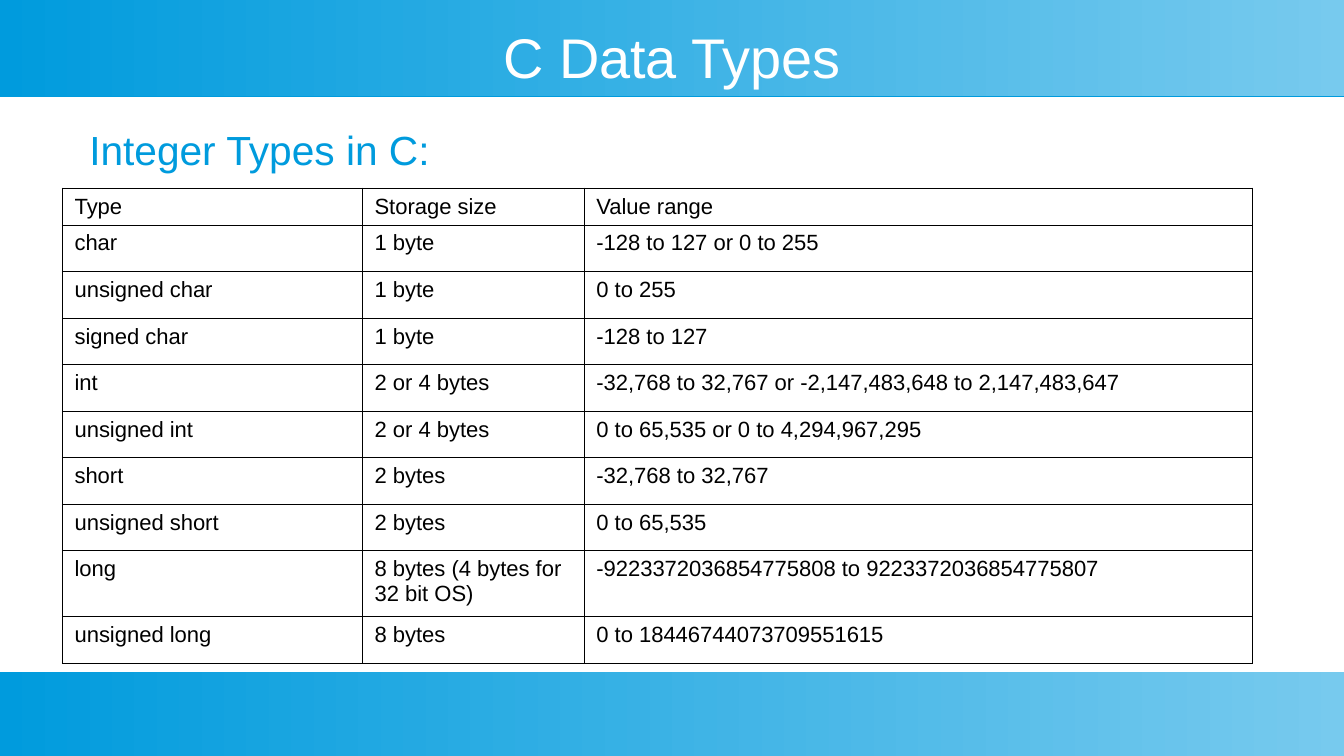
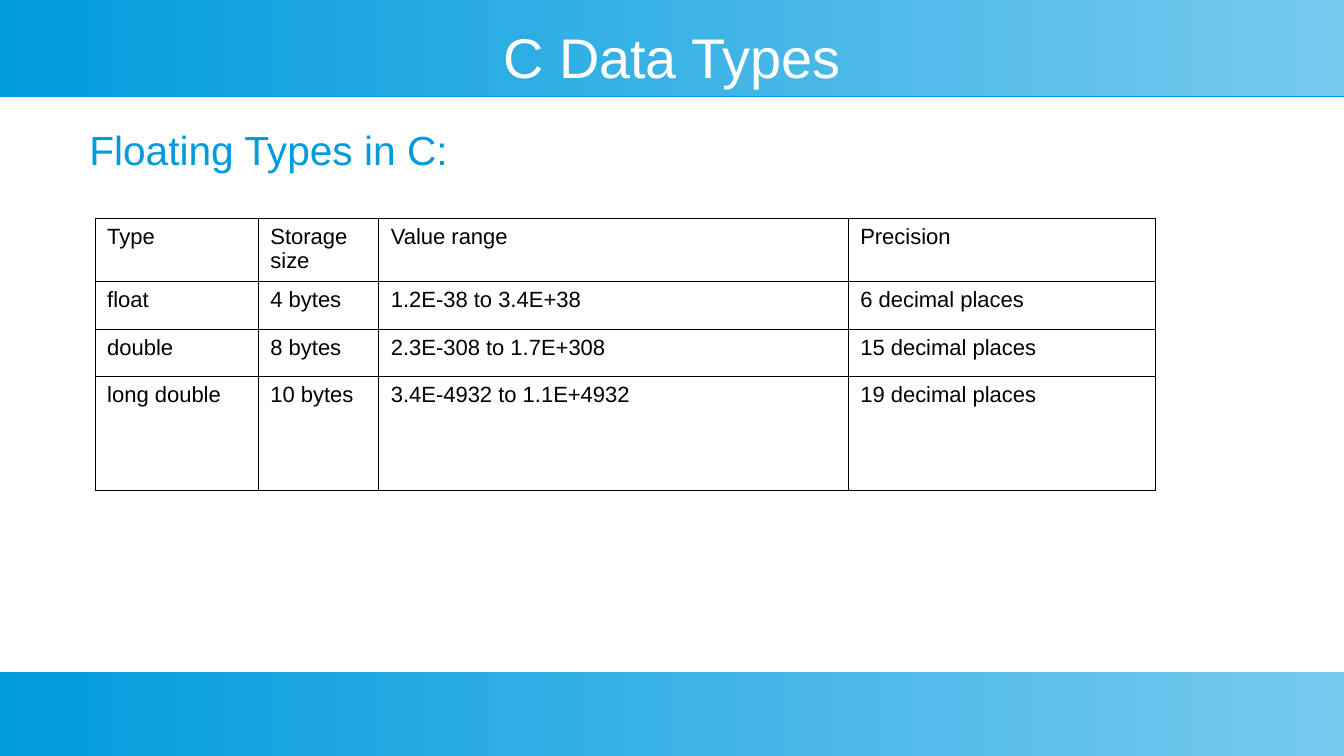
from lxml import etree
from pptx import Presentation
from pptx.dml.color import RGBColor
from pptx.enum import shapes, text
from pptx.oxml import ns
from pptx.util import Cm, Pt

FONT = "Arial"
BLUE, SKY, WHITE, BLACK = "009BDD", "77CAEE", "FFFFFF", "000000"
WIDE, HIGH = 28, 15.75
LINE = 0.57  # table rule, points

INTS = [
    ("Type", "Storage size", "Value range"),
    ("char", "1 byte", "-128 to 127 or 0 to 255"),
    ("unsigned char", "1 byte", "0 to 255"),
    ("signed char", "1 byte", "-128 to 127"),
    ("int", "2 or 4 bytes",
     "-32,768 to 32,767 or -2,147,483,648 to 2,147,483,647"),
    ("unsigned int", "2 or 4 bytes", "0 to 65,535 or 0 to 4,294,967,295"),
    ("short", "2 bytes", "-32,768 to 32,767"),
    ("unsigned short", "2 bytes", "0 to 65,535"),
    ("long", "8 bytes (4 bytes for 32 bit OS)",
     "-9223372036854775808 to 9223372036854775807"),
    ("unsigned long", "8 bytes", "0 to 18446744073709551615"),
]
FLOATS = [
    ("Type", "Storage size", "Value range", "Precision"),
    ("float", "4 bytes", "1.2E-38 to 3.4E+38", "6 decimal places"),
    ("double", "8 bytes", "2.3E-308 to 1.7E+308", "15 decimal places"),
    ("long double", "10 bytes", "3.4E-4932 to 1.1E+4932",
     "19 decimal places"),
]


def color(code):
    return RGBColor.from_string(code)


def sub(node, tag, **attrs):
    """Add a drawing element with the given attributes."""
    return etree.SubElement(node, ns.qn("a:" + tag),
                            {k: str(v) for k, v in attrs.items()})


def place(shape, box):
    shape.left, shape.top, shape.width, shape.height = map(Cm, box)


def style(para, size, code):
    para.font.name, para.font.size = FONT, Pt(size)
    para.font.color.rgb = color(code)


def add_band(slide, box):
    """Gradient band with a thin blue edge below it."""
    band = slide.shapes.add_shape(shapes.MSO_SHAPE.RECTANGLE, *map(Cm, box))
    band.line.fill.background()
    band.fill.gradient()
    band.fill.gradient_angle = 0
    for stop, code in zip(band.fill.gradient_stops, (BLUE, SKY)):
        stop.color.rgb = color(code)
    props = band.element.spPr
    edge = sub(sub(props, "effectLst"), "outerShdw",
               blurRad=0, dist=Pt(0.9), dir=5400000, algn="tl", rotWithShape=0)
    sub(edge, "srgbClr", val=BLUE)
    return band


def set_frame(shape, words, anchor):
    """Fill a placeholder with one line and no insets."""
    frame = shape.text_frame
    frame.text = words
    frame.word_wrap = True
    frame.auto_size = text.MSO_AUTO_SIZE.NONE
    frame.vertical_anchor = anchor
    frame.margin_left = frame.margin_right = 0
    frame.margin_top = frame.margin_bottom = 0
    para = frame.paragraphs[0]
    para.space_before = Pt(0)
    return para


def add_title(shape, words, box):
    place(shape, box)
    para = set_frame(shape, words, text.MSO_ANCHOR.MIDDLE)
    para.alignment = text.PP_ALIGN.CENTER
    style(para, 33, WHITE)


def add_lead(shape, words, box):
    place(shape, box)
    para = set_frame(shape, words, text.MSO_ANCHOR.TOP)
    props = para._p.get_or_add_pPr()
    props.set("marL", str(Cm(1.2)))
    props.set("indent", "0")
    sub(props, "buNone")
    style(para, 24, BLUE)


def add_rules(cell):
    """Draw the four cell borders, which come before the fill."""
    props = cell._tc.get_or_add_tcPr()
    for spot, side in enumerate("LRTB"):
        rule = sub(props, "ln" + side, w=Pt(LINE))
        sub(sub(rule, "solidFill"), "srgbClr", val=BLACK)
        props.insert(spot, rule)


def add_grid(slide, rows, spot, wides, highs):
    """Ruled table at spot, sized by its columns and rows."""
    box = (*spot, sum(wides), sum(highs))
    grid = slide.shapes.add_table(len(rows), len(wides), *map(Cm, box)).table
    grid.first_row = grid.horz_banding = False
    for col, wide in zip(grid.columns, wides):
        col.width = Cm(wide)
    for row, high, words in zip(grid.rows, highs, rows):
        row.height = Cm(high)
        for cell, word in zip(row.cells, words):
            cell.text = word
            cell.fill.background()
            style(cell.text_frame.paragraphs[0], 13, BLACK)
            add_rules(cell)


def add_page(deck, layout, lead, rows, spot, wides, highs):
    slide = deck.slides.add_slide(layout)
    add_title(slide.shapes.title, "C Data Types", (1, 0.5, 26, 1.32))
    add_lead(slide.placeholders[1], lead, (0.66, 2.6, 26, 10))
    add_grid(slide, rows, spot, wides, highs)
    return slide


def main():
    deck = Presentation()
    deck.slide_width, deck.slide_height = Cm(WIDE), Cm(HIGH)
    layout = deck.slide_layouts[1]

    # Integer types
    first = add_page(deck, layout, "Integer Types in C:", INTS, (1.3, 3.92),
                     (6.25, 4.62, 13.92), [0.76] + [0.97] * 7 + [1.37, 0.97])
    # Floating types
    add_page(deck, layout, "Floating Types in C:", FLOATS, (1.98, 4.55),
             (3.4, 2.51, 9.78, 6.4), (1.32, 0.99, 0.99, 2.36))

    # Bands live on the layout, behind its placeholders
    for box in ((0, 0, WIDE, 2), (0, 14, WIDE, HIGH - 14)):
        layout.shapes.element.insert(2, add_band(first, box).element)

    deck.save("out.pptx")


if __name__ == "__main__":
    main()
